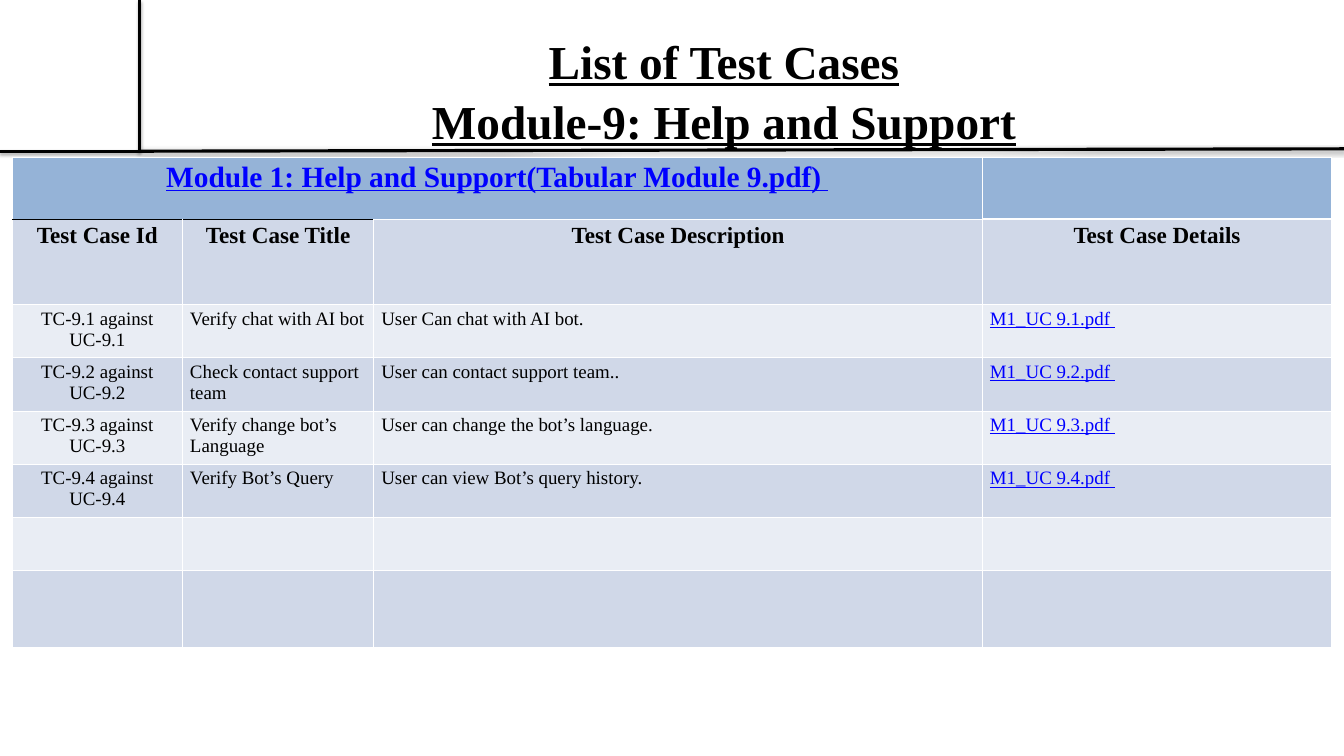
"""Build the Help and Support test case slide."""
import lxml.etree
import pptx
import pptx.dml.color
import pptx.enum.shapes
import pptx.enum.text
import pptx.oxml
import pptx.oxml.ns
import pptx.util

Cm = pptx.util.Cm
Pt = pptx.util.Pt
RGBColor = pptx.dml.color.RGBColor
Align = pptx.enum.text.PP_ALIGN

BLACK = RGBColor(0x00, 0x00, 0x00)
WHITE = RGBColor(0xFF, 0xFF, 0xFF)
LINK_BLUE = RGBColor(0x00, 0x00, 0xFF)
HEADER_BLUE = RGBColor(0x95, 0xB3, 0xD7)
BAND_DARK = RGBColor(0xD0, 0xD8, 0xE8)
BAND_LIGHT = RGBColor(0xE9, 0xED, 0xF4)
FONT_NAME = "Times New Roman"


def add_run(paragraph, text, size, color=BLACK, bold=False, underline=False):
    run = paragraph.add_run()
    run.text = text
    run.font.name = FONT_NAME
    run.font.size = Pt(size)
    run.font.bold = bold
    run.font.underline = underline
    run.font.color.rgb = color


def add_border(cell, side, color, width):
    cell._tc.get_or_add_tcPr().append(pptx.oxml.parse_xml(
        f'<a:{side} {pptx.oxml.ns.nsdecls("a")} w="{Pt(width)}">'
        f'<a:solidFill><a:srgbClr val="{color}"/></a:solidFill></a:{side}>'))


presentation = pptx.Presentation()
presentation.slide_width = Cm(45.16)
presentation.slide_height = Cm(25.4)
slide = presentation.slides.add_slide(presentation.slide_layouts[6])
slide.background.fill.solid()
slide.background.fill.fore_color.rgb = WHITE

frame_lines = [
    (4.7, 0, 4.7, 5.1),
    (0, 5.1, 4.7, 5.1),
    (4.7, 5.08, 45.16, 5),
]
for line_ends in frame_lines:
    connector = slide.shapes.add_connector(
        pptx.enum.shapes.MSO_CONNECTOR.STRAIGHT, *[Cm(value) for value in line_ends])
    connector.line.color.rgb = BLACK
    connector.line.width = Pt(3)
    effects = lxml.etree.SubElement(
        connector._element.spPr, pptx.oxml.ns.qn("a:effectLst"))
    effects.append(pptx.oxml.parse_xml(
        f'<a:outerShdw {pptx.oxml.ns.nsdecls("a")} blurRad="{Pt(3.1)}" '
        f'dist="{Pt(1.8)}" dir="5400000" rotWithShape="0">'
        '<a:srgbClr val="000000"><a:alpha val="35000"/></a:srgbClr></a:outerShdw>'))

title = slide.shapes.add_textbox(Cm(7.14), Cm(0.84), Cm(34.37), Cm(3.18))
title_frame = title.text_frame
title_frame.word_wrap = True
title_frame.margin_left = title_frame.margin_right = Cm(0.28)
title_frame.margin_top = title_frame.margin_bottom = Cm(0.15)
title_paragraph = title_frame.paragraphs[0]
title_paragraph.alignment = Align.CENTER
title_paragraph.line_spacing = 1.05
add_run(title_paragraph, "List of Test Cases", 45, bold=True, underline=True)
title_paragraph.add_line_break()
add_run(title_paragraph, "Module-9: Help and Support", 45, bold=True, underline=True)

column_widths = [5.72, 6.43, 20.45, 11.73]
row_heights = [2.08, 2.87] + [1.79] * 5 + [2.57]
table_shape = slide.shapes.add_table(
    len(row_heights), len(column_widths), Cm(0.41), Cm(5.28),
    Cm(sum(column_widths)), Cm(sum(row_heights)))
table = table_shape.table
table.first_row = False
table.horz_banding = False
for column, width in zip(table.columns, column_widths):
    column.width = Cm(width)
for row, height in zip(table.rows, row_heights):
    row.height = Cm(height)

for row_index in range(len(row_heights)):
    for column_index in range(len(column_widths)):
        cell = table.cell(row_index, column_index)
        borders = {side: (WHITE, 1) for side in ("lnL", "lnR", "lnT", "lnB")}
        if row_index == 0:
            borders["lnB"] = (WHITE, 3) if column_index == 3 else (BLACK, 1)
        if row_index == 1 and column_index < 2:
            borders["lnT"] = (BLACK, 1)
        if row_index == 1 and column_index == 3:
            borders["lnT"] = (WHITE, 3)
        for side, (color, width) in borders.items():
            add_border(cell, side, color, width)
        cell.fill.solid()
        band = BAND_DARK if row_index % 2 else BAND_LIGHT
        cell.fill.fore_color.rgb = HEADER_BLUE if row_index == 0 else band

table.cell(0, 0).merge(table.cell(0, 2))
paragraph = table.cell(0, 0).text_frame.paragraphs[0]
paragraph.alignment = Align.CENTER
add_run(paragraph, "Module 1: Help and Support(Tabular Module 9.pdf) ", 28,
        LINK_BLUE, bold=True, underline=True)

headings = ["Test Case Id", "Test Case Title", "Test Case Description", "Test Case Details"]
for column_index, heading in enumerate(headings):
    paragraph = table.cell(1, column_index).text_frame.paragraphs[0]
    paragraph.alignment = Align.CENTER
    add_run(paragraph, heading, 22, bold=True)

test_cases = [
    ("Verify chat with AI bot", "User Can chat with AI bot."),
    ("Check contact support team", "User can contact support team.."),
    ("Verify change bot’s Language", "User can change the bot’s language."),
    ("Verify Bot’s Query", "User can view Bot’s query history."),
]
for number, (case_title, description) in enumerate(test_cases, start=1):
    id_cell, title_cell, description_cell, details_cell = table.rows[number + 1].cells
    id_frame = id_cell.text_frame
    id_lines = [f"TC-9.{number} against", f"UC-9.{number}"]
    for paragraph, text in zip([id_frame.paragraphs[0], id_frame.add_paragraph()], id_lines):
        paragraph.alignment = Align.CENTER
        add_run(paragraph, text, 18)
    add_run(title_cell.text_frame.paragraphs[0], case_title, 18)
    paragraph = description_cell.text_frame.paragraphs[0]
    paragraph.alignment = Align.JUSTIFY
    add_run(paragraph, description, 18)
    paragraph = details_cell.text_frame.paragraphs[0]
    paragraph.alignment = Align.JUSTIFY
    add_run(paragraph, f"M1_UC 9.{number}.pdf ", 18, LINK_BLUE, underline=True)

presentation.save("out.pptx")
